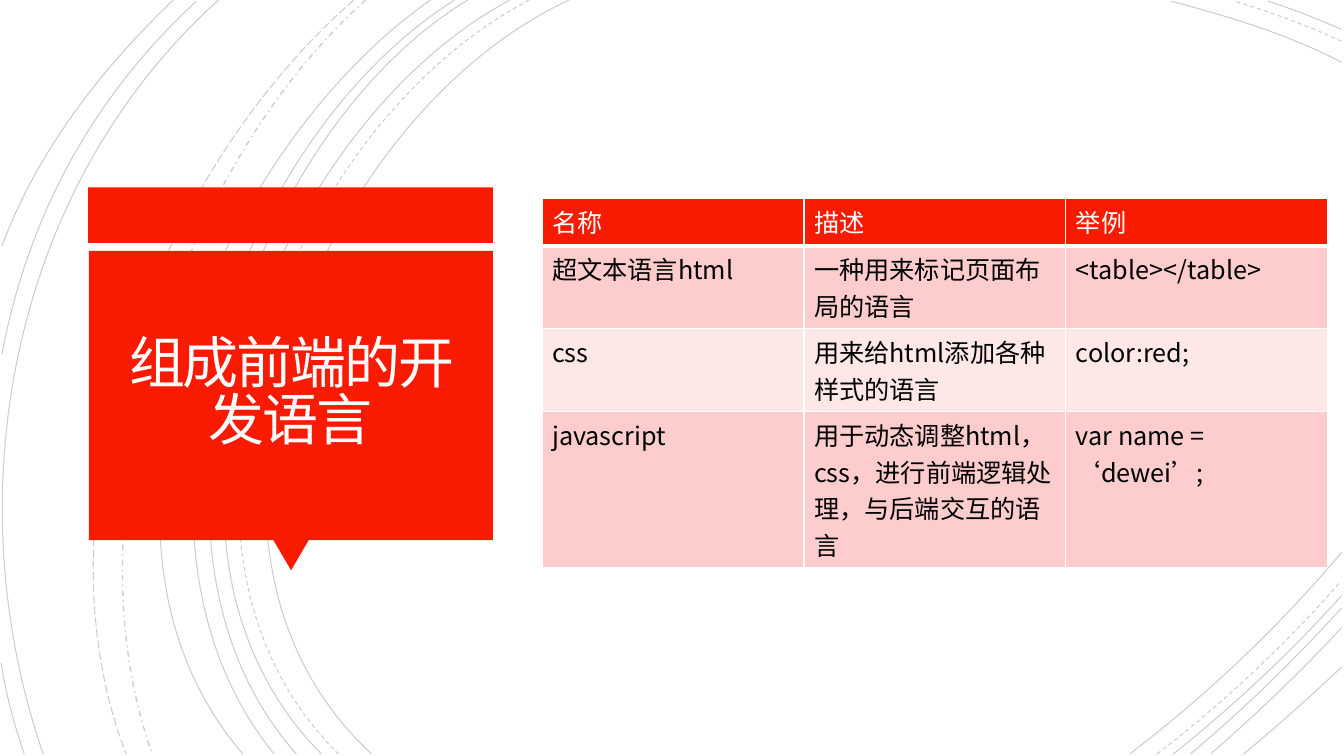
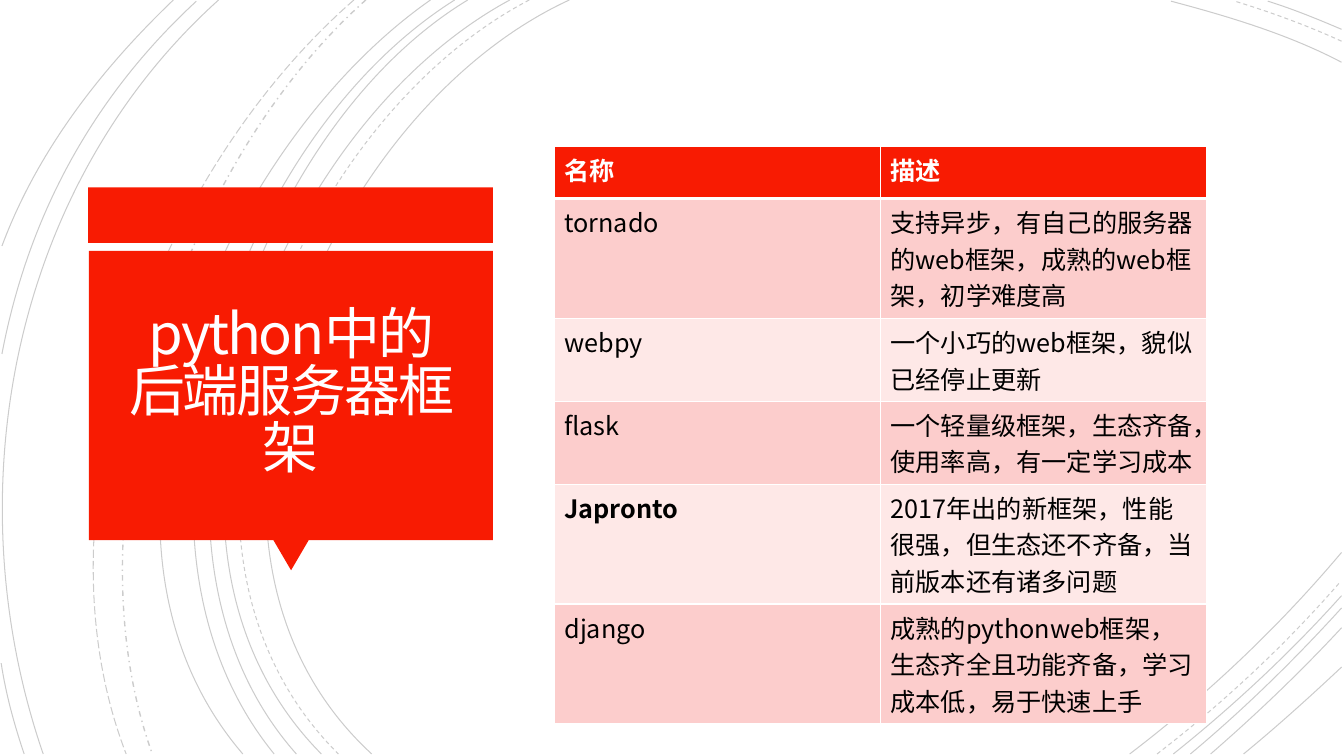
from dataclasses import dataclass

from lxml.etree import SubElement
from pptx import Presentation
from pptx.dml.color import RGBColor
from pptx.enum.dml import MSO_LINE
from pptx.enum.shapes import MSO_SHAPE
from pptx.enum.text import MSO_ANCHOR, PP_ALIGN
from pptx.oxml.ns import qn
from pptx.slide import Slide
from pptx.table import _Cell
from pptx.text.text import _Paragraph
from pptx.util import Cm, Pt

# Shared look
RED = RGBColor(0xF8, 0x1B, 0x02)
ROSE = RGBColor(0xFC, 0xCD, 0xCC)
BLUSH = RGBColor(0xFE, 0xE8, 0xE7)
TITLE_WHITE = RGBColor(0xFF, 0xFE, 0xFF)
WHITE = RGBColor(0xFF, 0xFF, 0xFF)
BLACK = RGBColor(0x00, 0x00, 0x00)
FONT = "Noto Sans CJK SC"
ARC_OPACITY = 20


@dataclass(frozen=True)
class Arc:
    """A cubic curve: start, two control points and end, in centimetres."""
    points: tuple[tuple[float, float], ...]
    dash: MSO_LINE = MSO_LINE.SOLID
    weight: float = 0.75


@dataclass(frozen=True)
class TitleBlock:
    preset: MSO_SHAPE
    left: float
    top: float
    width: float
    height: float
    rotation: float = 0


@dataclass(frozen=True)
class Topic:
    title: str
    left: float
    top: float
    column_width: float
    row_heights: tuple[float, ...]
    rows: tuple[tuple[str, ...], ...]
    bold_texts: tuple[str, ...] = ()


ARCS = (
    Arc(((14.35, 0), (8, 2.92), (3.63, 13.72), (9.37, 19))),
    Arc(((33.81, 1.57), (32.46, 0.86), (30.94, 0.41), (29.51, 0.03))),
    Arc(((28.47, 19), (30.4, 17.53), (32.23, 15.8), (33.81, 13.92))),
    Arc(((13.34, 0), (7.24, 3.18), (3.12, 13.64), (8.53, 19)), MSO_LINE.DASH),
    Arc(((33.81, 1.04), (32.94, 0.64), (32, 0.3), (31.12, 0.03)), MSO_LINE.DASH),
    Arc(((29.16, 19), (30.81, 17.73), (32.39, 16.26), (33.78, 14.66)), MSO_LINE.DASH),
    Arc(((12.85, 0), (6.86, 3.23), (2.79, 13.64), (8.1, 19))),
    Arc(((33.81, 0.74), (33.2, 0.48), (32.59, 0.23), (31.95, 0.03))),
    Arc(((29.57, 19), (31.06, 17.81), (32.51, 16.46), (33.81, 15.01))),
    Arc(((11.79, 0), (6.2, 3.38), (2.79, 13.74), (7.47, 19))),
    Arc(((30, 19), (31.34, 17.88), (32.61, 16.64), (33.81, 15.32))),
    Arc(((11.46, 0), (5.87, 3.51), (2.46, 13.54), (6.91, 19))),
    Arc(((30.51, 19), (31.65, 18.01), (32.77, 16.94), (33.81, 15.82))),
    Arc(((10.85, 0), (5.51, 3.73), (1.35, 13.44), (6.12, 19))),
    Arc(((31.34, 19), (32.18, 18.31), (32.99, 17.58), (33.81, 16.81))),
    Arc(((9.22, 0), (4.47, 4.22), (1.65, 12.93), (3.84, 19)), MSO_LINE.DASH_DOT, 1),
    Arc(((8.92, 0), (3.99, 4.29), (0.74, 12.67), (3.18, 19)), MSO_LINE.LONG_DASH),
    Arc(((5.51, 0), (0.28, 4.7), (-1.17, 12.45), (1.09, 19))),
    Arc(((4.95, 0.03), (2.34, 2.44), (0.71, 5.44), (0.05, 8.92))),
    Arc(((0.03, 16.71), (0.15, 17.5), (0.36, 18.26), (0.61, 19))),
    Arc(((4.37, 0), (2.54, 1.75), (0.94, 3.81), (0.05, 6.2))),
)

TITLE_BLOCKS = (
    TitleBlock(MSO_SHAPE.RECTANGLE, 2.22, 4.72, 10.2, 1.4),
    TitleBlock(MSO_SHAPE.ISOSCELES_TRIANGLE, 6.89, 13.61, 0.89, 0.76, 180),
    TitleBlock(MSO_SHAPE.RECTANGLE, 2.24, 6.32, 10.18, 7.29),
)

TOPICS = (
    Topic(
        "组成前端的开发语言", 13.66, 5, 6.6, (1.19, 2.09, 2.09, 3.94),
        (("名称", "描述", "举例"),
         ("超文本语言html", "一种用来标记页面布局的语言", "<table></table>"),
         ("css", "用来给html添加各种样式的语言", "color:red;"),
         ("javascript", "用于动态调整html，css，进行前端逻辑处理，与后端交互的语言",
          "var name = ‘dewei’;")),
    ),
    Topic(
        "python中的后端服务器框架", 13.97, 3.68, 8.22,
        (1.32, 3.02, 2.09, 2.09, 3.02, 3.02),
        (("名称", "描述"),
         ("tornado", "支持异步，有自己的服务器的web框架，成熟的web框架，初学难度高"),
         ("webpy", "一个小巧的web框架，貌似已经停止更新"),
         ("flask", "一个轻量级框架，生态齐备，使用率高，有一定学习成本"),
         ("Japronto", "2017年出的新框架，性能很强，但生态还不齐备，当前版本还有诸多问题"),
         ("django", "成熟的pythonweb框架，生态齐全且功能齐备，学习成本低，易于快速上手")),
        bold_texts=("名称", "描述", "Japronto"),
    ),
)


def style_text(paragraph: _Paragraph, size: float, color: RGBColor,
               bold: bool = False, spacing: int = 0) -> None:
    font = paragraph.font
    font.size, font.bold, font.name = Pt(size), bold, FONT
    font.color.rgb = color
    properties = paragraph._p.pPr.find(qn("a:defRPr"))
    SubElement(properties, qn("a:ea"), typeface=FONT)
    if spacing:
        properties.set("spc", str(spacing))


def draw_arc(slide: Slide, arc: Arc) -> None:
    start, *rest = ((Cm(x), Cm(y)) for x, y in arc.points)
    builder = slide.shapes.build_freeform(*start)
    builder.add_line_segments(rest, close=False)
    curve = builder.convert_to_shape()
    # Join the three segments into one cubic curve
    outline = curve._element.find(".//" + qn("a:path"))
    segments = outline.findall(qn("a:lnTo"))
    cubic = SubElement(outline, qn("a:cubicBezTo"))
    for segment in segments:
        cubic.append(segment[0])
        outline.remove(segment)
    curve.shadow.inherit = False
    curve.fill.background()
    curve.line.color.rgb = BLACK
    curve.line.width = Pt(arc.weight)
    curve.line.dash_style = arc.dash
    color = curve.line._ln.find(".//" + qn("a:srgbClr"))
    SubElement(color, qn("a:alpha"), val=str(ARC_OPACITY * 1000))


def draw_title_block(slide: Slide, block: TitleBlock) -> None:
    panel = slide.shapes.add_shape(block.preset, Cm(block.left), Cm(block.top),
                                   Cm(block.width), Cm(block.height))
    panel.rotation = block.rotation
    panel.shadow.inherit = False
    panel.fill.solid()
    panel.fill.fore_color.rgb = RED
    panel.line.fill.background()


def draw_title(slide: Slide, title: str) -> None:
    frame = slide.shapes.add_textbox(Cm(2.46), Cm(6.53), Cm(9.73), Cm(6.83)).text_frame
    frame.word_wrap = True
    frame.vertical_anchor = MSO_ANCHOR.MIDDLE
    frame.margin_left = frame.margin_right = Cm(0.64)
    frame.margin_top = frame.margin_bottom = Cm(0.64)
    paragraph = frame.paragraphs[0]
    paragraph.text = title
    paragraph.alignment = PP_ALIGN.CENTER
    paragraph.line_spacing = 0.85
    style_text(paragraph, 40, TITLE_WHITE, spacing=-150)


def draw_borders(cell: _Cell, top: float, bottom: float) -> None:
    properties = cell._tc.get_or_add_tcPr()
    for side, weight in (("L", 1), ("R", 1), ("T", top), ("B", bottom)):
        border = SubElement(properties, qn(f"a:ln{side}"), w=str(Pt(weight)))
        fill = SubElement(border, qn("a:solidFill"))
        SubElement(fill, qn("a:srgbClr"), val=str(WHITE))


def draw_table(slide: Slide, topic: Topic) -> None:
    column_count = len(topic.rows[0])
    table = slide.shapes.add_table(
        len(topic.rows), column_count, Cm(topic.left), Cm(topic.top),
        Cm(topic.column_width * column_count), Cm(sum(topic.row_heights))).table
    for column in table.columns:
        column.width = Cm(topic.column_width)
    for index, (texts, height) in enumerate(zip(topic.rows, topic.row_heights)):
        table.rows[index].height = Cm(height)
        is_header = index == 0
        row_fill = RED if is_header else (BLUSH, ROSE)[index % 2]
        for cell, text in zip(table.rows[index].cells, texts):
            # The rule under the header is shared with the first body row
            draw_borders(cell, top=3 if index == 1 else 1, bottom=3 if is_header else 1)
            cell.fill.solid()
            cell.fill.fore_color.rgb = row_fill
            paragraph = cell.text_frame.paragraphs[0]
            paragraph.text = text
            style_text(paragraph, 18, WHITE if is_header else BLACK,
                       bold=text in topic.bold_texts)


# Build the deck
deck = Presentation()
deck.slide_width, deck.slide_height = Cm(33.87), Cm(19.05)
blank_layout = deck.slide_layouts[6]
for topic in TOPICS:
    slide = deck.slides.add_slide(blank_layout)
    for arc in ARCS:
        draw_arc(slide, arc)
    for block in TITLE_BLOCKS:
        draw_title_block(slide, block)
    draw_title(slide, topic.title)
    draw_table(slide, topic)
deck.save("out.pptx")
